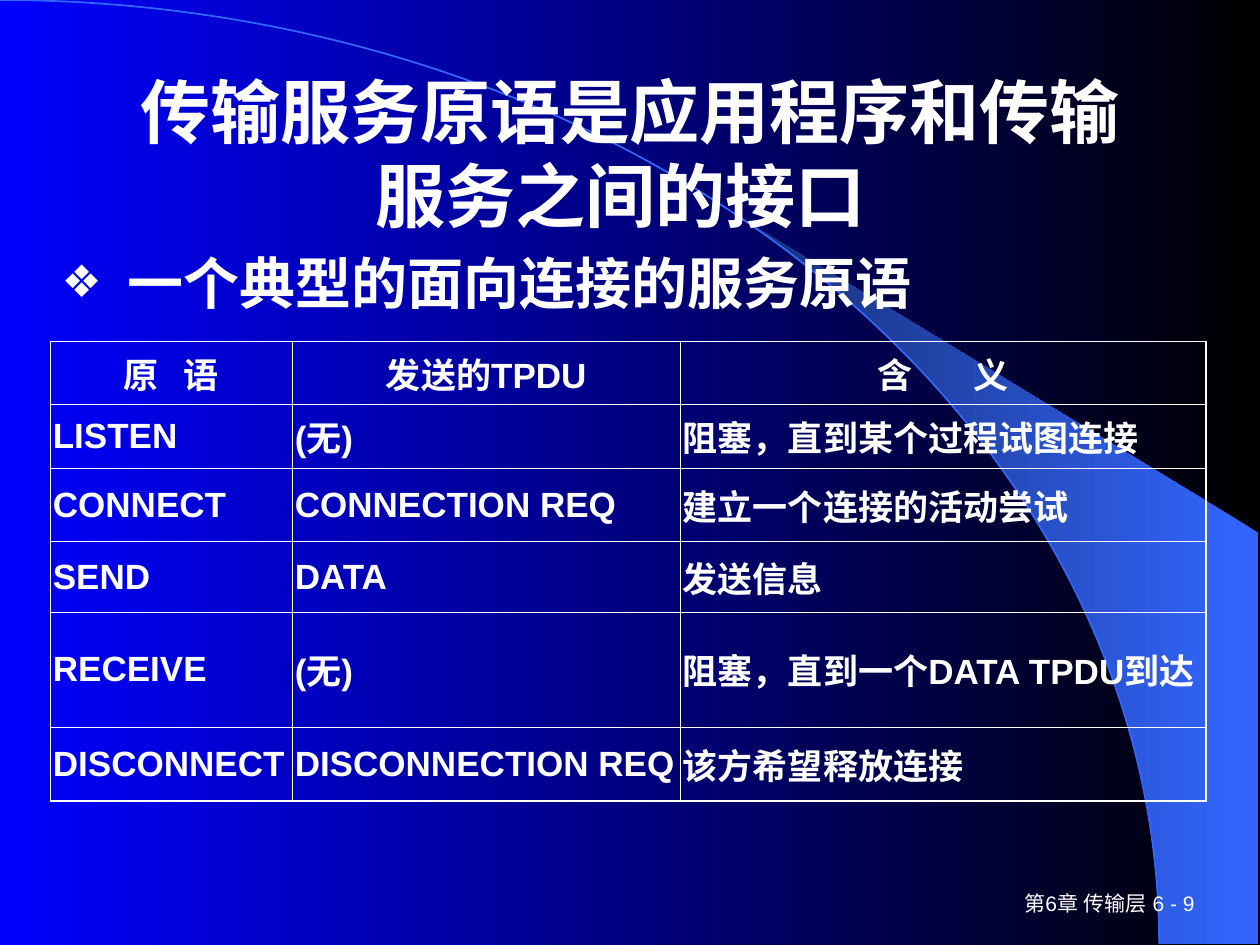
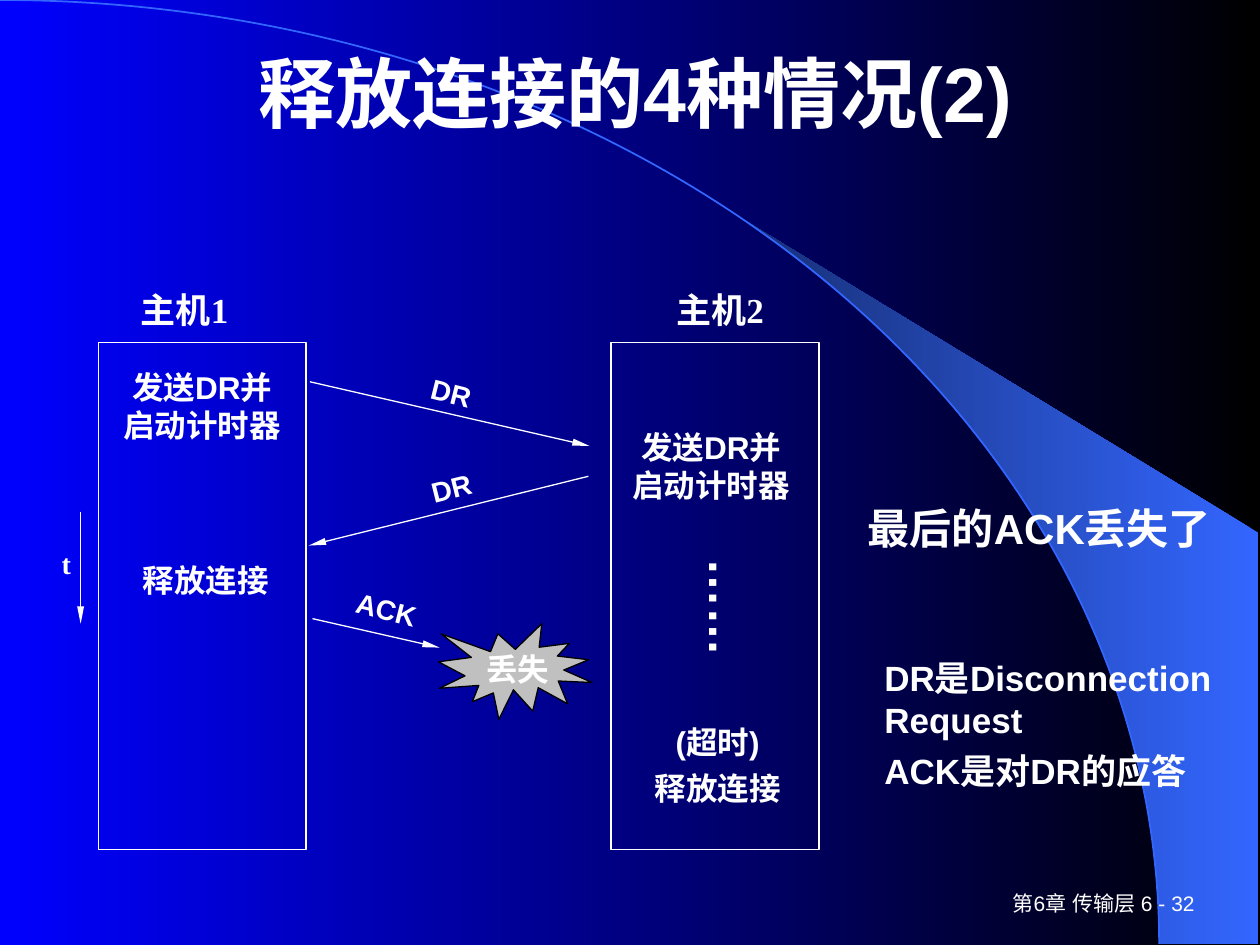
"""Build two slides on transport service primitives and connection release."""
import math
from dataclasses import dataclass

import lxml.etree
import pptx
import pptx.dml.color
import pptx.enum.shapes
import pptx.enum.text
import pptx.oxml.ns
import pptx.util

Inches = pptx.util.Inches
Pt = pptx.util.Pt
Shapes = pptx.enum.shapes.MSO_SHAPE
Align = pptx.enum.text.PP_ALIGN
Anchor = pptx.enum.text.MSO_ANCHOR
qn = pptx.oxml.ns.qn


@dataclass(frozen=True)
class Theme:
    white: str = "FFFFFF"
    black: str = "000000"
    night: str = "0000FF"
    sweep: str = "3366FF"
    sweep_dark: str = "172F75"
    burst: str = "C0C0C0"
    sans: str = "Arial"
    serif: str = "Times New Roman"
    chinese: str = "Noto Sans CJK SC"
    long_title: int = 40
    title: int = 44
    dots: int = 28
    bullet: int = 32
    remark: int = 24
    body: int = 20
    state: int = 18
    message: int = 16
    footer: int = 12
    thin: float = 0.75
    frame: float = 1.08
    grid: float = 0.45


THEME = Theme()
ARC_WIDTH, ARC_HEIGHT = 9.2, 7.49
HOST_TOP, HOST_WIDTH, HOST_HEIGHT = 2.72, 1.65, 4.02
COLUMNS = (1.92, 3.08, 4.17)
ROWS = (0.5, 0.51, 0.58, 0.56, 0.91, 0.59)
PRIMITIVES = (
    ("原 语", "发送的TPDU", "含 义"),
    ("LISTEN", "(无)", "阻塞，直到某个过程试图连接"),
    ("CONNECT", "CONNECTION REQ", "建立一个连接的活动尝试"),
    ("SEND", "DATA", "发送信息"),
    ("RECEIVE", "(无)", "阻塞，直到一个DATA TPDU到达"),
    ("DISCONNECT", "DISCONNECTION REQ", "该方希望释放连接"),
)
HEADER_GAPS = {"原 语": 4.8, "含 义": 15.3}


def rgb(value):
    """Turn a hex string into a colour."""
    return pptx.dml.color.RGBColor.from_string(value)


def inches(values):
    """Turn numbers into lengths."""
    return [Inches(value) for value in values]


def add_child(parent, tag, **attributes):
    """Append a drawing element with attributes."""
    return lxml.etree.SubElement(parent, qn(tag), **attributes)


def fill_gradient(fill, start, end):
    """Fill with a gradient that runs from right to left."""
    fill.gradient()
    fill.gradient_angle = 180
    for stop, colour in zip(fill.gradient_stops, (start, end)):
        stop.color.rgb = rgb(colour)


def set_line(shape, colour, width):
    """Give a shape or connector a solid line."""
    shape.line.color.rgb = rgb(colour)
    shape.line.width = Pt(width)


def format_span(span, size, font, bold=True, east=THEME.sans):
    """Set the type of one run."""
    span.font.size = Pt(size)
    span.font.bold = bold
    span.font.name = font
    span.font.color.rgb = rgb(THEME.white)
    properties = span.font._element
    properties.set("lang", "zh-CN")
    add_child(properties, "a:ea", typeface=east)


def add_text(page, place, lines, size, font=THEME.sans, bold=True,
             align=Align.LEFT, anchor=Anchor.TOP, gap=0, turn=0, wrap=True):
    """Add a text box with one paragraph for each line."""
    box = page.shapes.add_textbox(*inches(place))
    box.rotation = turn
    frame = box.text_frame
    frame.word_wrap = wrap
    frame.vertical_anchor = anchor
    frame.text = "\n".join(lines)
    for number, para in enumerate(frame.paragraphs):
        para.alignment = align
        para.space_before = Pt(gap if number else 0)
        for span in para.runs:
            format_span(span, size, font, bold)
    return box


def add_centred(page, place, text, size, **options):
    """Add a single centred paragraph."""
    return add_text(page, place, [text], size, align=Align.CENTER, **options)


def add_bullet(page, place, text):
    """Add a line with a diamond bullet and a hanging indent."""
    para = add_text(page, place, [text], THEME.bullet).text_frame.paragraphs[0]
    properties = para._p.get_or_add_pPr()
    properties.set("marL", str(Inches(0.52)))
    properties.set("indent", str(Inches(-0.52)))
    colour = add_child(properties, "a:buClr")
    add_child(colour, "a:srgbClr", val=THEME.white)
    add_child(properties, "a:buSzPct", val="80000")
    add_child(properties, "a:buFont", typeface=THEME.sans)
    add_child(properties, "a:buChar", char="❖")


def add_shape(page, kind, place, fill=None, line=THEME.white, width=THEME.thin):
    """Add a preset shape without a shadow."""
    shape = page.shapes.add_shape(kind, *inches(place))
    shape.shadow.inherit = False
    if fill:
        shape.fill.solid()
        shape.fill.fore_color.rgb = rgb(fill)
    else:
        shape.fill.background()
    set_line(shape, line, width)
    return shape


def add_arrow(page, start, end):
    """Add a thin arrow that points at its end."""
    arrow = page.shapes.add_connector(
        pptx.enum.shapes.MSO_CONNECTOR.STRAIGHT, *inches((*start, *end)))
    set_line(arrow, THEME.white, THEME.thin)
    add_child(arrow.line._get_or_add_ln(), "a:tailEnd", type="triangle", w="sm", len="lg")
    add_child(arrow._element.spPr, "a:effectLst")


def add_sweep(page):
    """Draw the bright crescent and the arc that bounds it."""
    first = math.asin(5.89 / ARC_WIDTH)
    angles = [first + (math.pi / 2 - first) * step / 24 for step in range(25)]
    edge = [(ARC_WIDTH * math.sin(angle), ARC_HEIGHT * (1 - math.cos(angle)))
            for angle in angles]
    outline = [inches(point) for point in edge + [(9.99, ARC_HEIGHT), (9.99, 4.23)]]
    builder = page.shapes.build_freeform(*outline[0], scale=1.0)
    builder.add_line_segments(outline[1:], close=True)
    crescent = builder.convert_to_shape()
    crescent.shadow.inherit = False
    crescent.line.fill.background()
    fill_gradient(crescent.fill, THEME.sweep, THEME.sweep_dark)
    add_shape(page, Shapes.ARC, (-ARC_WIDTH, 0, 2 * ARC_WIDTH, 2 * ARC_HEIGHT),
              line=THEME.sweep, width=1)


def add_page(deck, title, place, size, number, font=THEME.sans):
    """Add a page with its background, footer and title."""
    page = deck.slides.add_slide(deck.slide_layouts[6])
    fill_gradient(page.background.fill, THEME.black, THEME.night)
    add_sweep(page)
    add_text(page, (7.5, 7, 2.08, 0.33), [f"第6章 传输层 6 - {number}"], THEME.footer,
             bold=False, align=Align.RIGHT, anchor=Anchor.MIDDLE)
    add_centred(page, place, title, size, font=font, anchor=Anchor.MIDDLE)
    return page


def set_borders(cell, row, column):
    """Draw a heavier line on the outer sides of the table."""
    outer = {"L": column == 0, "R": column == len(COLUMNS) - 1,
             "T": row == 0, "B": row == len(ROWS) - 1}
    properties = cell._tc.get_or_add_tcPr()
    for side, is_outer in outer.items():
        width = Pt(THEME.frame if is_outer else THEME.grid)
        line = add_child(properties, f"a:ln{side}", w=str(width))
        add_child(add_child(line, "a:solidFill"), "a:srgbClr", val=THEME.white)


def fill_cell(cell, text, is_header):
    """Write one table cell, spreading the characters of short headers."""
    cell.margin_left = cell.margin_right = Inches(0.02)
    cell.vertical_anchor = Anchor.MIDDLE
    cell.text_frame.text = text
    para = cell.text_frame.paragraphs[0]
    para.alignment = Align.CENTER if is_header else Align.LEFT
    if text in HEADER_GAPS:
        para.runs[0].text = text[:-1]
        para.add_run().text = text[-1]
        spread = round(HEADER_GAPS[text] * 100)
        para.runs[0].font._element.set("spc", str(spread))
    for span in para.runs:
        format_span(span, THEME.body, THEME.sans, east=THEME.chinese)


def add_primitives(page):
    """Add the table of service primitives."""
    place = inches((0.4, 2.71, sum(COLUMNS), sum(ROWS)))
    table = page.shapes.add_table(len(ROWS), len(COLUMNS), *place).table
    table.first_row = table.horz_banding = False
    for column, width in zip(table.columns, COLUMNS):
        column.width = Inches(width)
    for row, height in zip(table.rows, ROWS):
        row.height = Inches(height)
    for row, texts in enumerate(PRIMITIVES):
        for column, text in enumerate(texts):
            cell = table.cell(row, column)
            set_borders(cell, row, column)
            cell.fill.background()
            fill_cell(cell, text, row == 0)


def add_host(page, left, label_left, name):
    """Add the column of one host with its name above."""
    add_shape(page, Shapes.RECTANGLE, (left, HOST_TOP, HOST_WIDTH, HOST_HEIGHT))
    add_centred(page, (label_left, 2.24, 1.13, 0.38), name, THEME.body, font=THEME.serif)


def build_primitives_page(deck):
    """Build the page on service primitives."""
    page = add_page(deck, "传输服务原语是应用程序和传输服务之间的接口 ",
                    (0.75, 0.5, 8.5, 1.42), THEME.long_title, 9, THEME.chinese)
    add_bullet(page, (0.39, 1.92, 9.26, 0.75), "一个典型的面向连接的服务原语")
    add_primitives(page)


def build_release_page(deck):
    """Build the page on a release whose last ACK is lost."""
    page = add_page(deck, "释放连接的4种情况(2)", (0.79, 0.24, 8.5, 0.97), THEME.title, 32)
    add_host(page, 0.78, 0.9, "主机1")
    add_host(page, 4.85, 5.15, "主机2")
    for start, end in (((2.46, 3.03), (4.68, 3.54)), ((4.67, 3.78), (2.45, 4.33)),
                       ((2.48, 4.91), (3.49, 5.14)), ((0.64, 4.06), (0.64, 4.95))):
        add_arrow(page, start, end)
    for text, place, turn in (("DR", (2.85, 2.93, 1.46, 0.38), 14),
                              ("DR", (2.39, 3.69, 2.39, 0.39), -14),
                              ("ACK", (2.54, 4.65, 1.05, 0.38), 14)):
        add_centred(page, place, text, THEME.message, turn=turn)
    add_text(page, (0.39, 4.29, 0.32, 0.38), ["t"], THEME.message, font=THEME.serif)
    for text, left, top, height in (("发送DR并启动计时器", 0.87, 2.87, 0.7),
                                    ("释放连接", 0.9, 4.4, 0.4),
                                    ("发送DR并启动计时器", 4.91, 3.35, 0.7)):
        add_centred(page, (left, top, 1.47, height), text, THEME.state)
    add_text(page, (4.96, 5.69, 1.47, 0.77), ["(超时)", "释放连接"], THEME.state,
             align=Align.CENTER, gap=4.5)
    add_centred(page, (5.23, 4.54, 1.1, 0.57), "……", THEME.dots, turn=90, wrap=True)
    add_shape(page, Shapes.EXPLOSION1, (3.48, 4.95, 1.22, 0.76), THEME.burst, THEME.black)
    add_text(page, (3.76, 5.11, 0.7, 0.4), ["丢失"], THEME.state, wrap=False)
    add_text(page, (6.79, 3.94, 2.96, 0.9), ["最后的ACK丢失了"], THEME.remark)
    add_text(page, (6.92, 5.16, 2.87, 1.51),
             ["DR是Disconnection Request", "ACK是对DR的应答"], THEME.body, gap=5)


def main():
    """Build and save the deck."""
    deck = pptx.Presentation()
    deck.slide_width, deck.slide_height = inches((10, 7.5))
    build_primitives_page(deck)
    build_release_page(deck)
    deck.save("out.pptx")


if __name__ == "__main__":
    main()
